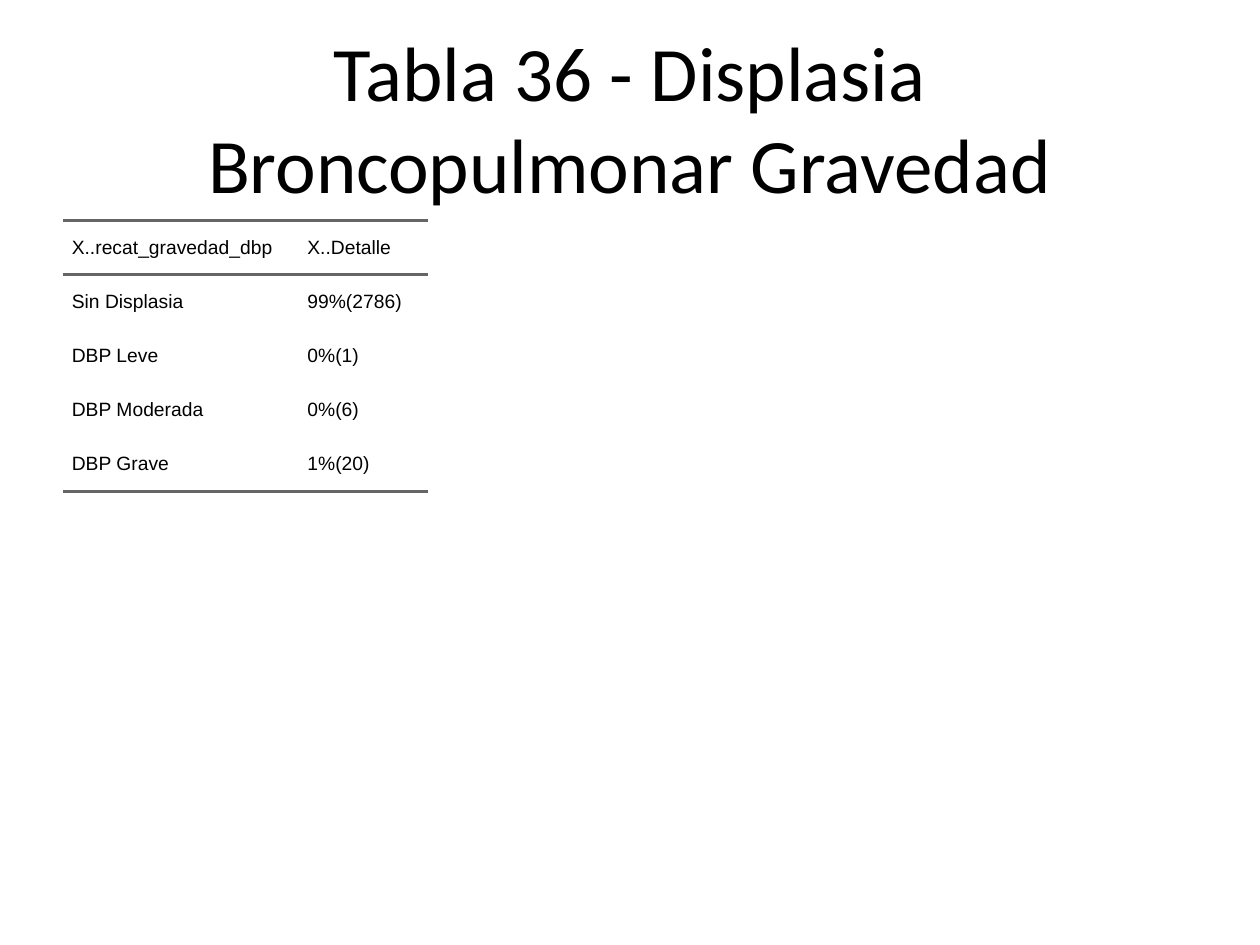
from dataclasses import dataclass

from lxml.etree import SubElement
from pptx import Presentation
from pptx.dml.color import RGBColor
from pptx.enum.text import MSO_ANCHOR, PP_ALIGN
from pptx.oxml.ns import qn
from pptx.slide import Slide
from pptx.table import _Cell
from pptx.text.text import _Paragraph
from pptx.util import Inches, Pt

BLACK = RGBColor(0x00, 0x00, 0x00)
RULE_GRAY = RGBColor(0x66, 0x66, 0x66)
PLAIN_TABLE_STYLE = "{2D5ABB26-0587-4C30-8999-92F81FD0307C}"
COLUMN_WIDTHS = (1.87, 1.03)
ROW_HEIGHT = 0.43


@dataclass(frozen=True)
class SeverityRow:
    label: str
    detail: str
    rules: tuple[str, ...] = ()


ROWS = (
    SeverityRow("X..recat_gravedad_dbp", "X..Detalle", ("a:lnT", "a:lnB")),
    SeverityRow("Sin Displasia", "99%(2786)"),
    SeverityRow("DBP Leve", "0%(1)"),
    SeverityRow("DBP Moderada", "0%(6)"),
    SeverityRow("DBP Grave", "1%(20)", ("a:lnB",)),
)


def format_runs(paragraph: _Paragraph, font_name: str, size: float) -> None:
    for span in paragraph.runs:
        span.font.name = font_name
        span.font.size = Pt(size)
        span.font.color.rgb = BLACK


def add_title(page: Slide, text: str) -> None:
    box = page.shapes.add_textbox(Inches(0.5), Inches(0.3), Inches(9), Inches(1.25))
    frame = box.text_frame
    frame.word_wrap = True
    frame.vertical_anchor = MSO_ANCHOR.MIDDLE
    frame.text = text
    paragraph = frame.paragraphs[0]
    paragraph.alignment = PP_ALIGN.CENTER
    format_runs(paragraph, "Calibri", 44)


def add_rule(cell: _Cell, side: str) -> None:
    properties = cell._tc.get_or_add_tcPr()
    line = SubElement(properties, qn(side), w=str(Pt(2)))
    fill = SubElement(line, qn("a:solidFill"))
    SubElement(fill, qn("a:srgbClr"), val=str(RULE_GRAY))


def fill_cell(cell: _Cell, text: str, rules: tuple[str, ...]) -> None:
    cell.margin_left = cell.margin_right = cell.margin_top = cell.margin_bottom = 0
    cell.vertical_anchor = MSO_ANCHOR.MIDDLE
    for side in rules:
        add_rule(cell, side)
    cell.fill.background()
    cell.text_frame.text = text
    paragraph = cell.text_frame.paragraphs[0]
    paragraph.alignment = PP_ALIGN.LEFT
    paragraph.space_before = paragraph.space_after = Pt(5)
    indents = paragraph._p.get_or_add_pPr()
    indents.set("marL", str(Inches(0.07)))
    indents.set("marR", str(Inches(0.07)))
    indents.set("indent", "0")
    format_runs(paragraph, "Arial", 11)


def add_severity_table(page: Slide) -> None:
    frame = page.shapes.add_table(
        len(ROWS), len(COLUMN_WIDTHS), Inches(0.5), Inches(1.75),
        Inches(sum(COLUMN_WIDTHS)), Inches(ROW_HEIGHT * len(ROWS)),
    )
    table = frame.table
    table.first_row = table.horz_banding = False
    table._tbl.tblPr.find(qn("a:tableStyleId")).text = PLAIN_TABLE_STYLE
    for column, width in zip(table.columns, COLUMN_WIDTHS):
        column.width = Inches(width)
    for table_row, row in zip(table.rows, ROWS):
        table_row.height = Inches(ROW_HEIGHT)
        for cell, text in zip(table_row.cells, (row.label, row.detail)):
            fill_cell(cell, text, row.rules)


deck = Presentation()
deck.slide_width = Inches(10)
deck.slide_height = Inches(7.5)
page = deck.slides.add_slide(deck.slide_layouts[6])
add_title(page, "Tabla 36 - Displasia Broncopulmonar Gravedad")
add_severity_table(page)
deck.save("out.pptx")
